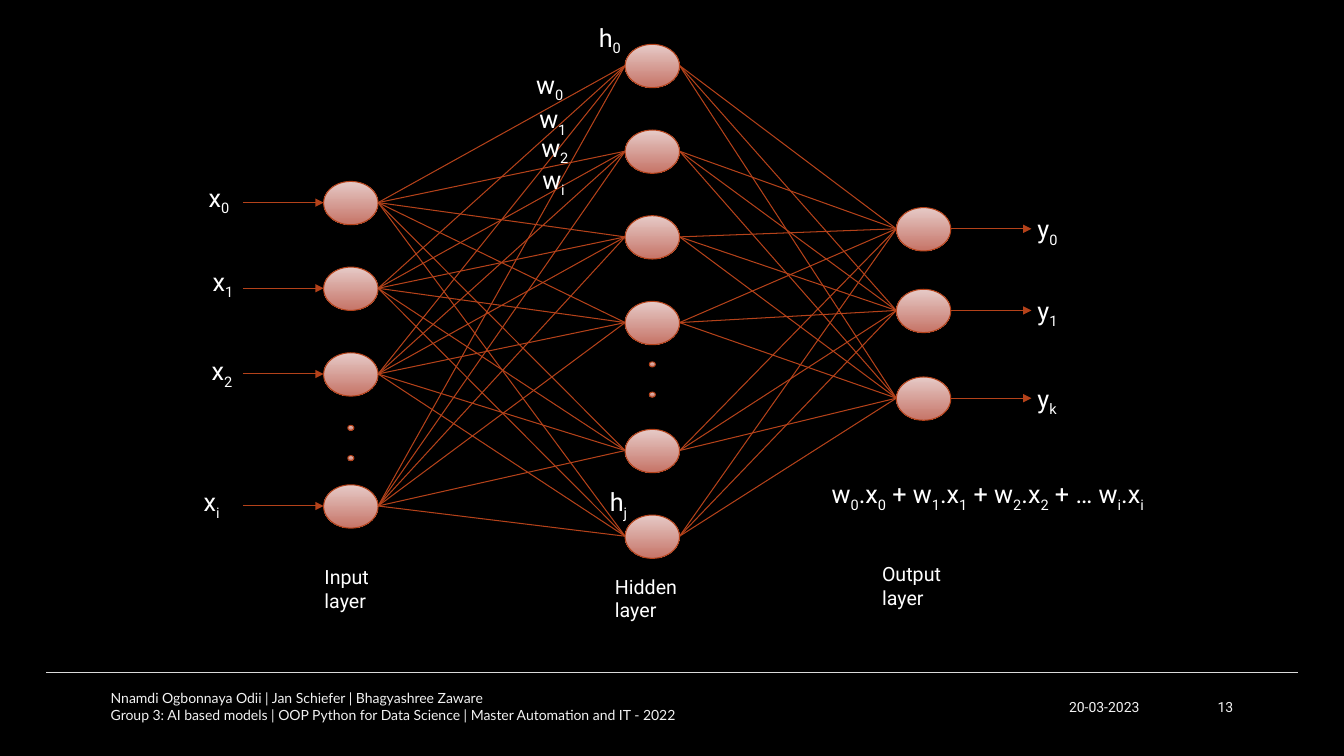
from collections import namedtuple
from itertools import product

from lxml import etree
from pptx import Presentation
from pptx.dml.color import RGBColor
from pptx.enum.shapes import MSO_CONNECTOR, MSO_SHAPE
from pptx.enum.text import MSO_ANCHOR, PP_ALIGN
from pptx.oxml.ns import qn
from pptx.util import Pt

PX = 9144
COLORS = {
    "background": "000000",
    "rule": "DADADA",
    "footer": "F2F2F2",
    "text": "FFFFFF",
    "edge": "B4421A",
    "node_top": "E6CAC7",
    "node_bottom": "C67467",
}
NODE_WIDTH, NODE_HEIGHT = 54, 43
DOT_WIDTH, DOT_HEIGHT = 6, 5
ARROW = 80

Box = namedtuple("Box", "left top width height")
Layer = namedtuple("Layer", "box tops dots labels caption caption_at")

INPUT = Layer(
    Box(321, 180, NODE_WIDTH, 344), (0, 85, 170, 301), (242, 272),
    (("x_0", -124, -4), ("x_1", -120, 79), ("x_2", -121, 168), ("x_i", -129, 298)),
    "Input\nlayer", (-9, 376))
HIDDEN = Layer(
    Box(620, 44, NODE_WIDTH, 510), (0, 85, 170, 255, 382, 467), (315, 345),
    (("h_0", -36, -27), ("h_j", -25, 434)),
    "Hidden\nlayer", (-20, 521))
OUTPUT = Layer(
    Box(889, 206, NODE_WIDTH, 211), (0, 81, 168), (),
    (("y_0", 130, 1), ("y_1", 130, 82), ("y_k", 130, 169)),
    "Output\nlayer", (-24, 347))


def color(name):
    return RGBColor.from_string(COLORS[name])


def add_text(page, box, text, size=18, font="Roboto", tint="text",
             align=PP_ALIGN.LEFT, anchor=MSO_ANCHOR.TOP):
    frame = page.shapes.add_textbox(*(PX * length for length in box)).text_frame
    frame.word_wrap = True
    frame.vertical_anchor = anchor
    for index, line in enumerate(text.split("\n")):
        para = frame.paragraphs[0] if index == 0 else frame.add_paragraph()
        para.alignment = align
        para.font.size = Pt(size)
        para.font.name = font
        para.font.color.rgb = color(tint)
        first, *parts = line.split("_")
        para.add_run().text = first
        for part in parts:
            span = para.add_run()
            span.text = part[0]
            span._r.get_or_add_rPr().set("baseline", "-25000")
            if part[1:]:
                para.add_run().text = part[1:]


def add_line(page, start, end, tint="edge", arrow=False):
    line = page.shapes.add_connector(
        MSO_CONNECTOR.STRAIGHT, *(PX * length for length in (*start, *end)))
    line.line.color.rgb = color(tint)
    line.line.width = Pt(0.75)
    if arrow:
        etree.SubElement(line.line._get_or_add_ln(), qn("a:tailEnd"), type="triangle")
    etree.SubElement(line._element.spPr, qn("a:effectLst"))


def add_node(page, box):
    node = page.shapes.add_shape(
        MSO_SHAPE.FLOWCHART_CONNECTOR, *(PX * length for length in box))
    node.shadow.inherit = False
    node.fill.gradient()
    node.fill.gradient_angle = 270
    for stop, position, name in zip(
            node.fill.gradient_stops, (0, 1), ("node_top", "node_bottom")):
        stop.position = position
        stop.color.rgb = color(name)
    node.line.color.rgb = color("edge")
    node.line.width = Pt(0.75)


def node_middles(layer):
    return [layer.box.top + top + NODE_HEIGHT // 2 for top in layer.tops]


def connect_layers(page, source, target):
    start = source.box.left + source.box.width
    for y1, y2 in product(node_middles(source), node_middles(target)):
        add_line(page, (start, y1), (target.box.left, y2))


def draw_arrows(page, layer, left):
    for y in node_middles(layer):
        add_line(page, (left, y), (left + ARROW, y), arrow=True)


def draw_layer(page, layer):
    left, top, width, _ = layer.box
    for offset in layer.tops:
        add_node(page, Box(left, top + offset, NODE_WIDTH, NODE_HEIGHT))
    for offset in layer.dots:
        add_node(page, Box(left + (width - DOT_WIDTH) // 2, top + offset,
                           DOT_WIDTH, DOT_HEIGHT))
    for text, dx, dy in layer.labels:
        add_text(page, Box(left + dx, top + dy, 51, 42), text)
    dx, dy = layer.caption_at
    add_text(page, Box(left + dx, top + dy, 100, 60), layer.caption, size=14)


def draw_weights(page, box):
    for text, dx, dy in (("w_0", 0, 0), ("w_1", 3, 34), ("w_2", 5, 62), ("w_i", 6, 94)):
        add_text(page, Box(box.left + dx, box.top + dy, 48, 40), text)


def draw_footer(page, box):
    left, top, width, height = box
    add_line(page, (left, top), (left + width, top), tint="rule")
    credits = ("Nnamdi Ogbonnaya Odii | Jan Schiefer | Bhagyashree Zaware\n"
               "Group 3: AI based models | OOP Python for Data Science | "
               "Master Automation and IT - 2022")
    for text, dx, span_width, font, align in (
            (credits, 54, 730, "Lato", PP_ALIGN.LEFT),
            ("20-03-2023", 794, 300, "Roboto", PP_ALIGN.RIGHT),
            ("13", 1105, 82, "Roboto", PP_ALIGN.RIGHT)):
        add_text(page, Box(left + dx, top + 14, span_width, height - 14), text, size=10,
                 font=font, tint="footer", align=align, anchor=MSO_ANCHOR.MIDDLE)


def draw_network(page):
    connect_layers(page, INPUT, HIDDEN)
    connect_layers(page, HIDDEN, OUTPUT)
    draw_arrows(page, INPUT, INPUT.box.left - ARROW)
    draw_arrows(page, OUTPUT, OUTPUT.box.left + OUTPUT.box.width)
    for layer in (INPUT, HIDDEN, OUTPUT):
        draw_layer(page, layer)
    draw_weights(page, Box(522, 64, 54, 134))
    add_text(page, Box(815, 470, 458, 40),
             "w_0.x_0 + w_1.x_1 + w_2.x_2 + … w_i.x_i")


def main():
    deck = Presentation()
    deck.slide_width, deck.slide_height = 1333 * PX, 750 * PX
    page = deck.slides.add_slide(deck.slide_layouts[6])
    page.background.fill.solid()
    page.background.fill.fore_color.rgb = color("background")
    draw_footer(page, Box(46, 667, 1241, 54))
    draw_network(page)
    deck.save("out.pptx")


if __name__ == "__main__":
    main()
